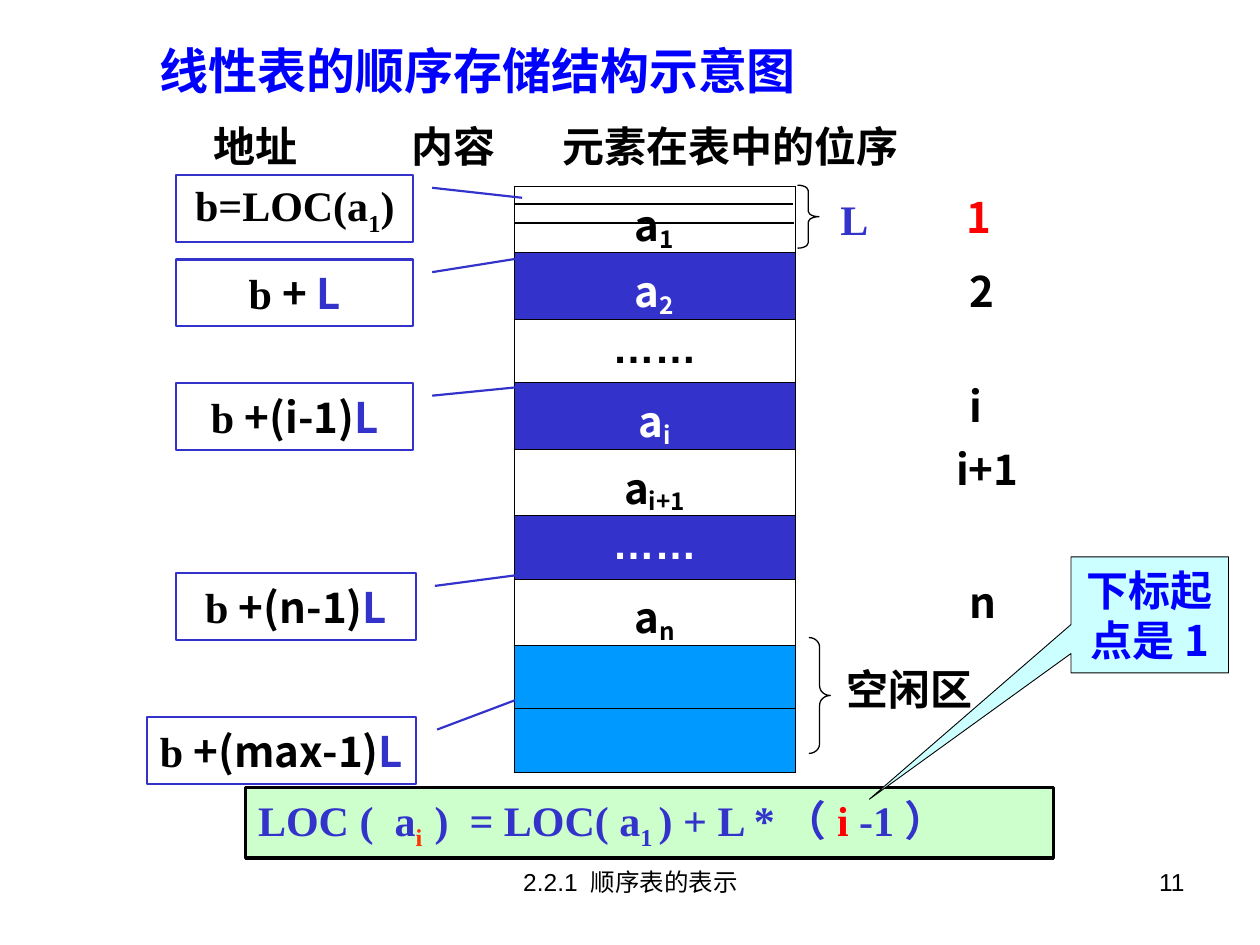
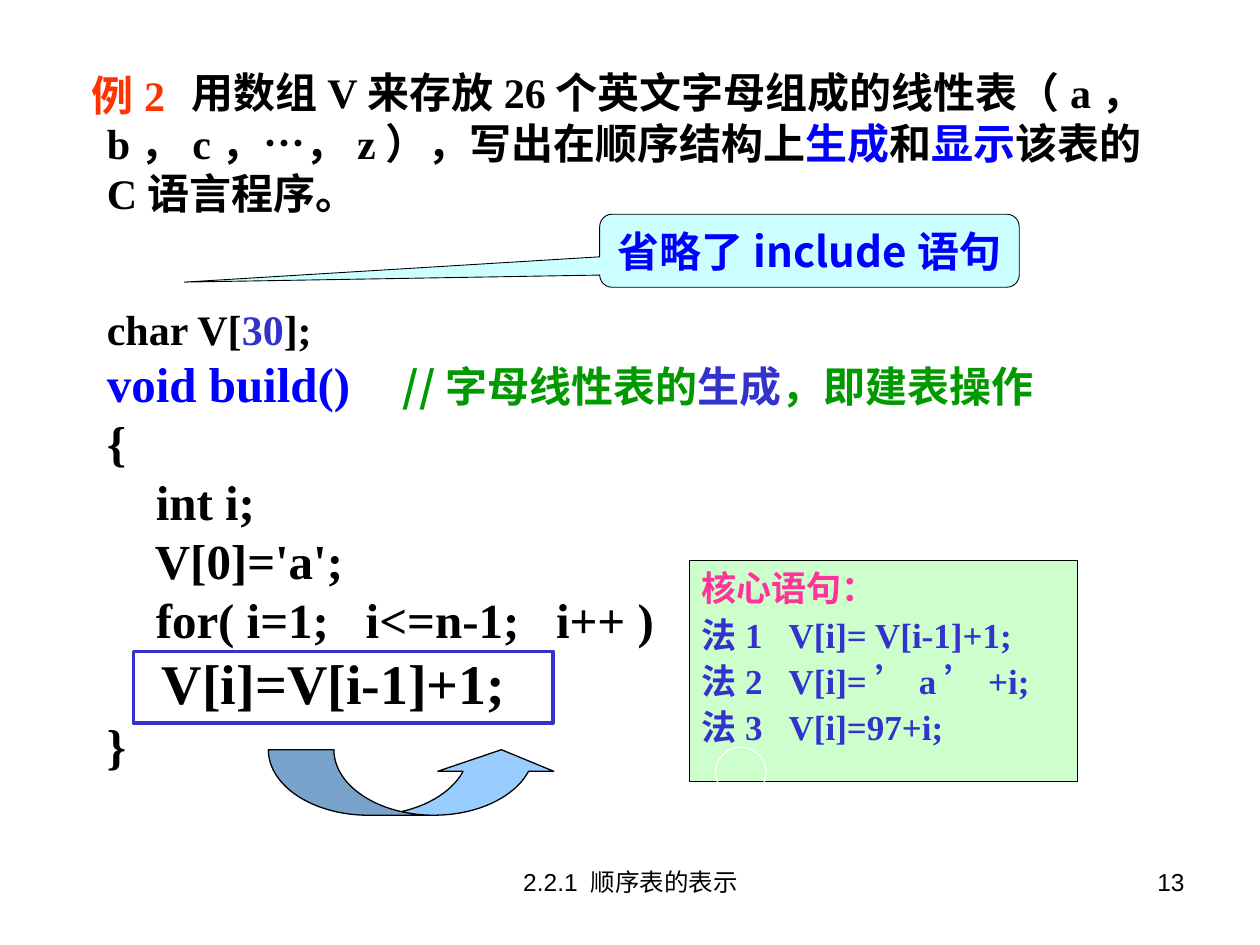
from dataclasses import dataclass
from lxml.etree import SubElement
from pptx import Presentation
from pptx.dml.color import RGBColor
from pptx.enum.shapes import MSO_CONNECTOR, MSO_SHAPE
from pptx.enum.text import MSO_ANCHOR, PP_ALIGN
from pptx.oxml.ns import qn
from pptx.util import Inches, Pt


@dataclass(frozen=True)
class Theme:
    black: str = "000000"
    white: str = "FFFFFF"
    indigo: str = "3333CC"
    blue: str = "0000FF"
    red: str = "FF0000"
    orange: str = "FF3300"
    pink: str = "FF3399"
    green: str = "009900"
    free: str = "0099FF"
    mint: str = "CCFFCC"
    ice: str = "CCFFFF"
    sky: str = "99CCFF"
    serif: str = "Times New Roman"
    sans: str = "Arial"
    cjk: str = "Noto Sans CJK SC"
    heading: str = "Montserrat"
    footer_size: int = 14
    note_size: int = 20
    body_size: int = 24
    title_size: int = 28
    core_size: int = 32


T = Theme()
COLUMNS, ROWS = 100, 75
SLIDE_W, SLIDE_H = Inches(10), Inches(7.5)
SERIF = dict(name=T.serif, size=T.body_size, bold=True, color=T.black)
CJK = {**SERIF, "name": T.cjk}
NOTE = {**CJK, "color": T.blue}
FOOTER = dict(name=T.sans, size=T.footer_size, bold=False, color=T.black)
SUB = {"baseline": -25}


def col(n):
    return round(SLIDE_W * n / COLUMNS)


def row(n):
    return round(SLIDE_H * n / ROWS)


def cells(x, y, w, h):
    """Turn grid columns and rows into lengths."""
    return col(x), row(y), col(w), row(h)


def add_run(p, text, fmt):
    r = p.add_run()
    r.text = text
    values = {"name": fmt["name"], "size": Pt(fmt["size"]), "bold": fmt["bold"]}
    for key, value in values.items():
        setattr(r.font, key, value)
    r.font.color.rgb = RGBColor.from_string(fmt["color"])
    rPr = r.font._element
    SubElement(rPr, qn("a:ea"), typeface=T.cjk)
    if "baseline" in fmt:
        rPr.set("baseline", str(fmt["baseline"] * 1000))


def add_tab_stop(p, position):
    tabs = SubElement(p._p.get_or_add_pPr(), qn("a:tabLst"))
    SubElement(tabs, qn("a:tab"), pos=str(col(position)), algn="l")


def write(tf, paragraphs, base, align=PP_ALIGN.LEFT, tab=None, spacing=None):
    """Fill a frame; each paragraph is a list of (text, changes to base)."""
    for i, runs in enumerate(paragraphs):
        p = tf.add_paragraph() if i else tf.paragraphs[0]
        p.alignment = align
        if spacing and i:
            p.line_spacing = spacing
        if tab:
            add_tab_stop(p, tab)
        for text, changes in runs:
            add_run(p, text, {**base, **changes})


def add_text(s, box, paragraphs, base, wrap=True, **layout):
    tf = s.shapes.add_textbox(*cells(*box)).text_frame
    tf.word_wrap = wrap
    write(tf, paragraphs, base, **layout)
    return tf


def add_label(s, box, text, base, **layout):
    return add_text(s, box, [[(text, {})]], base, **layout)


def add_figure(s, kind, box, line, weight, fill=None, adjust=()):
    sp = s.shapes.add_shape(kind, *cells(*box))
    sp.shadow.inherit = False
    if fill:
        sp.fill.solid()
        sp.fill.fore_color.rgb = RGBColor.from_string(fill)
    else:
        sp.fill.background()
    sp.line.color.rgb = RGBColor.from_string(line)
    sp.line.width = Pt(weight)
    for i, value in enumerate(adjust):
        sp.adjustments[i] = value
    return sp


def fill_figure(sp, paragraphs, base, anchor=MSO_ANCHOR.MIDDLE, **layout):
    tf = sp.text_frame
    tf.word_wrap = True
    tf.vertical_anchor = anchor
    write(tf, paragraphs, base, **layout)


def add_note(s, kind, box, text, adjust):
    sp = add_figure(s, kind, box, T.black, 0.5, T.ice, adjust)
    fill_figure(sp, [[(text, {})]], NOTE, align=PP_ALIGN.CENTER)


def add_address(s, box, runs, tip):
    """Address box whose leader line ends at tip (y, x as shares of the box)."""
    sp = add_figure(s, MSO_SHAPE.LINE_CALLOUT_1, box, T.indigo, 1.25,
                    adjust=(0.19, -0.08, *tip))
    sp._element.spPr.find(qn("a:xfrm")).set("flipH", "1")
    fill_figure(sp, [runs], SERIF, align=PP_ALIGN.CENTER)


def add_rule(s, x1, x2, y):
    c = s.shapes.add_connector(MSO_CONNECTOR.STRAIGHT, col(x1), row(y), col(x2), row(y))
    c.line.color.rgb = RGBColor.from_string(T.black)
    c.line.width = Pt(0.75)
    SubElement(c._element.spPr, qn("a:effectLst"))


def border_cell(cell):
    tcPr = cell._tc.get_or_add_tcPr()
    for side in ("lnL", "lnR", "lnT", "lnB"):
        ln = SubElement(tcPr, qn(f"a:{side}"), w=str(Pt(0.45)))
        SubElement(SubElement(ln, qn("a:solidFill")), qn("a:srgbClr"), val=T.black)


def add_storage(s, x, y, width, storage):
    """One-column table; each entry is (height, fill, text, subscript)."""
    total = sum(entry[0] for entry in storage)
    table = s.shapes.add_table(len(storage), 1, *cells(x, y, width, total)).table
    table.first_row = table.horz_banding = False
    for i, (height, fill, text, sub) in enumerate(storage):
        table.rows[i].height = row(height)
        cell = table.cell(i, 0)
        border_cell(cell)
        cell.fill.solid()
        cell.fill.fore_color.rgb = RGBColor.from_string(fill)
        ink = T.white if fill == T.indigo else T.black
        base = {**CJK, "color": ink, "name": T.cjk if sub else T.sans}
        if text:
            runs = [(text, {})] + ([(sub, {"baseline": -16})] if sub else [])
            write(cell.text_frame, [runs], base, align=PP_ALIGN.CENTER)


def add_slide(prs, number):
    s = prs.slides.add_slide(prs.slide_layouts[6])
    add_label(s, (71.7, 68.3, 23.3, 5.2), number, FOOTER, align=PP_ALIGN.RIGHT)
    add_label(s, (34.2, 68.3, 31.7, 5.2), "2.2.1 顺序表的表示", FOOTER,
              align=PP_ALIGN.CENTER)
    return s


def storage_slide(prs):
    s = add_slide(prs, "11")
    title = {**NOTE, "name": T.heading, "size": T.title_size}
    add_label(s, (11.7, 2.7, 52.5, 5.7), "线性表的顺序存储结构示意图", title, wrap=False)
    for x, width, text in ((16, 10, "地址"), (31.7, 10, "内容"),
                           (43.7, 32, "元素在表中的位序")):
        add_label(s, (x, 9.1, width, 5), text, CJK)

    tall, low = 5.27, 5.04
    add_storage(s, 40.8, 14.8, 22.3, [
        (tall, T.white, "a", "1"), (tall, T.indigo, "a", "2"),
        (low, T.white, "……", ""), (tall, T.indigo, "a", "i"),
        (tall, T.white, "a", "i+1"), (low, T.indigo, "……", ""),
        (tall, T.white, "a", "n"), (low, T.free, "", ""), (low, T.free, "", "")])
    for x1, x2, y in ((40.8, 62.9, 16.2), (40.9, 63, 17.7), (40.8, 48.7, 14.8)):
        add_rule(s, x1, x2, y)

    for x, y, text, color in ((75.7, 14.7, "1", T.red), (76, 20.6, "2", T.black),
                              (76, 29.7, "i", T.black), (74.9, 34.7, "i+1", T.black),
                              (76, 45.3, "n", T.black)):
        add_label(s, (x, y, 10.4, 5), text, {**CJK, "color": color})

    for box, bend in (((63.3, 14.7, 1.7, 5), 0.25), ((64.2, 50.6, 1.7, 9.2), 0.45)):
        add_figure(s, MSO_SHAPE.RIGHT_BRACE, box, T.black, 0.75, adjust=(bend, 0.5))
    add_label(s, (65.7, 14.9, 4.2, 5), "L", {**SERIF, "color": T.indigo},
              wrap=False, align=PP_ALIGN.CENTER)
    add_label(s, (66.2, 52.2, 13.3, 5), "空闲区", SERIF)

    add_address(s, (14, 13.9, 18.8, 5.3),
                [("b=LOC(a", {}), ("1", SUB), (")", {})], (0.34, -0.46))
    for x, y, width, offset, tip in (
            (14, 20.6, 18.8, "+ ", (-0.02, -0.45)),
            (14, 30.4, 18.8, "+(i-1)", (0.06, -0.45)),
            (14, 45.5, 19, "+(n-1)", (0.03, -0.42)),
            (11.7, 56.9, 21.3, "+(max-1)", (-0.25, -0.37))):
        add_address(s, (x, y, width, 5.3),
                    [("b ", {}), (offset, CJK), ("L", {**CJK, "color": T.indigo})], tip)

    formula = add_figure(s, MSO_SHAPE.RECTANGLE, (19.5, 62.5, 64.1, 5.6),
                         T.black, 2, T.mint)
    fill_figure(formula, [[
        ("LOC (  a", {}), ("i  ", {**SUB, "color": T.orange}), (")  = LOC( a", {}),
        ("1 ", SUB), (") + L *（", {}), ("i", {"color": T.red}), (" -1）", {})]],
        {**SERIF, "color": T.indigo})
    add_note(s, MSO_SHAPE.RECTANGULAR_CALLOUT, (85, 44.2, 12.5, 9.2),
             "下标起点是1", (-1.78, 1.59))


def program_slide(prs):
    s = add_slide(prs, "13")
    blue, indigo, green = ({"color": c} for c in (T.blue, T.indigo, T.green))
    big = {"size": T.title_size}
    add_text(s, (7.5, 23.6, 85, 38), [
        [("char V[", {}), ("30", indigo), ("];", {})],
        [("void build()", {**big, **blue}), ("\t", {}),
         ("//字母线性表的", {**CJK, **green}), ("生成", {**CJK, **indigo}),
         ("，即建表操作", {**CJK, **green})],
        [("{", big)],
        [("    int i;", big)],
        [("    V[0]='a';", big)],
        [("    for( i=1;   i<=n-1;   i++ )", big)],
        [("    V[i]=V[i-1]+1;", {"size": T.core_size})],
        [("}", big)]], SERIF, tab=23.5)

    options = add_figure(s, MSO_SHAPE.RECTANGLE, (54.7, 44.5, 30.8, 17.5),
                         T.black, 0.75, T.mint)
    methods = ("V[i]= V[i-1]+1;", "V[i]=’a’+i;", "V[i]=97+i;")
    fill_figure(options, [[("核心语句：", {"color": T.pink})]] + [
        [(f"法{i}\t{code}", {})] for i, code in enumerate(methods, 1)],
        {**SERIF, **indigo, "size": T.note_size},
        anchor=MSO_ANCHOR.TOP, tab=6.9, spacing=1.1)
    add_figure(s, MSO_SHAPE.RECTANGLE, (10.6, 51.7, 33.3, 5.7), T.indigo, 2)
    add_figure(s, MSO_SHAPE.CURVED_UP_ARROW, (21.3, 59.5, 23.1, 5.2), T.black, 0.75,
               T.sky, (1, 1.77, 0.33))
    add_figure(s, MSO_SHAPE.OVAL, (56.8, 59.3, 4, 4), T.white, 0.75)

    add_label(s, (6.3, 5, 7.8, 5), "例2", {**SERIF, "color": T.orange},
              wrap=False, align=PP_ALIGN.CENTER)
    task = add_text(s, (7.5, 4.8, 85.8, 13), [[
        ("用数组V来存放26个英文字母组成的线性表（a，b，c，…，z），写出在顺序结构上", {}),
        ("生成", blue), ("和", {}), ("显示", blue), ("该表的C语言程序。", {})]], SERIF)
    task.paragraphs[0]._p.get_or_add_pPr().set("indent", str(col(6.7)))
    add_note(s, MSO_SHAPE.ROUNDED_RECTANGULAR_CALLOUT, (47.6, 17, 33.3, 5.8),
             "省略了include语句", (-1.49, 0.43, 0.17))


def main():
    prs = Presentation()
    prs.slide_width, prs.slide_height = SLIDE_W, SLIDE_H
    storage_slide(prs)
    program_slide(prs)
    prs.save("out.pptx")


if __name__ == "__main__":
    main()
